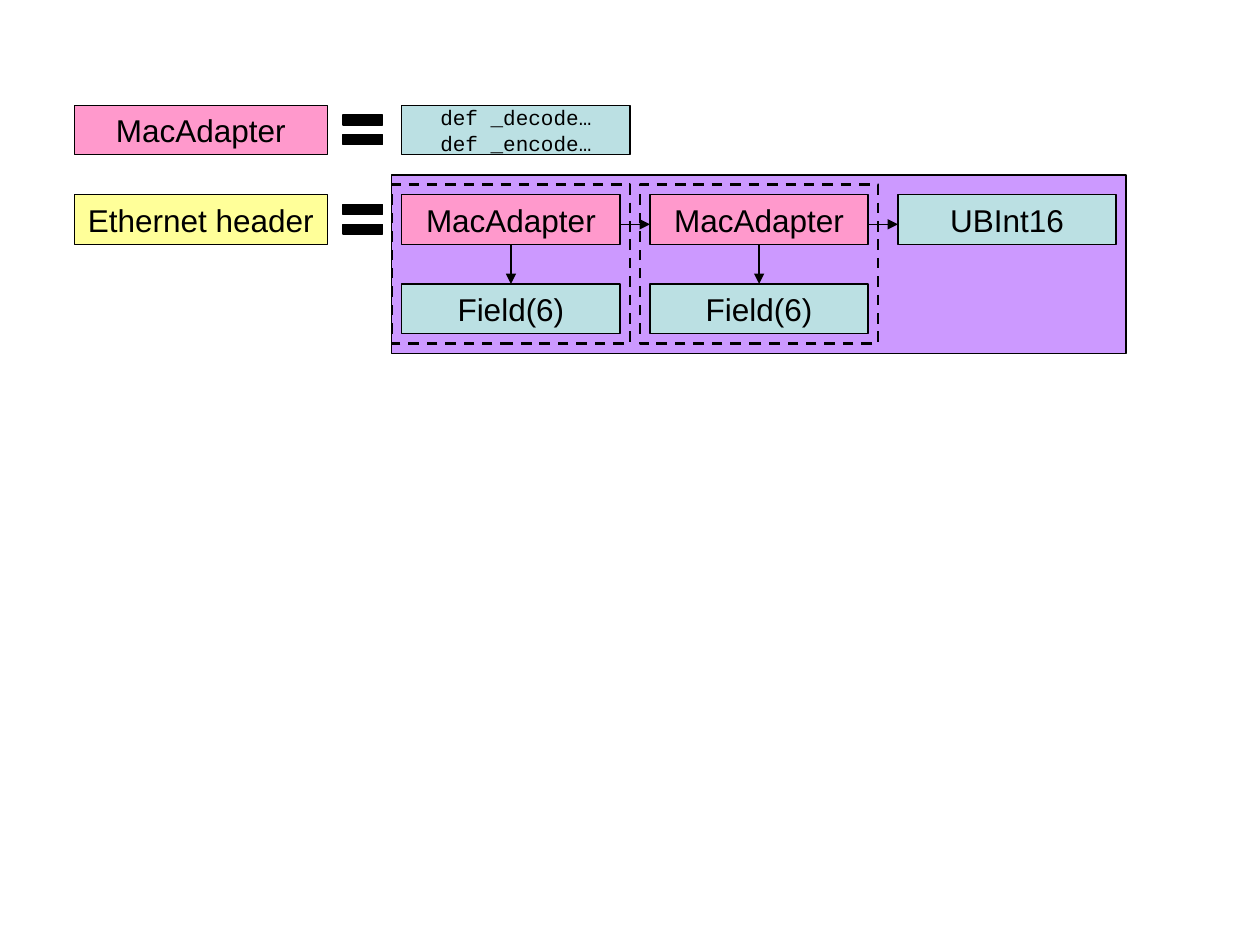
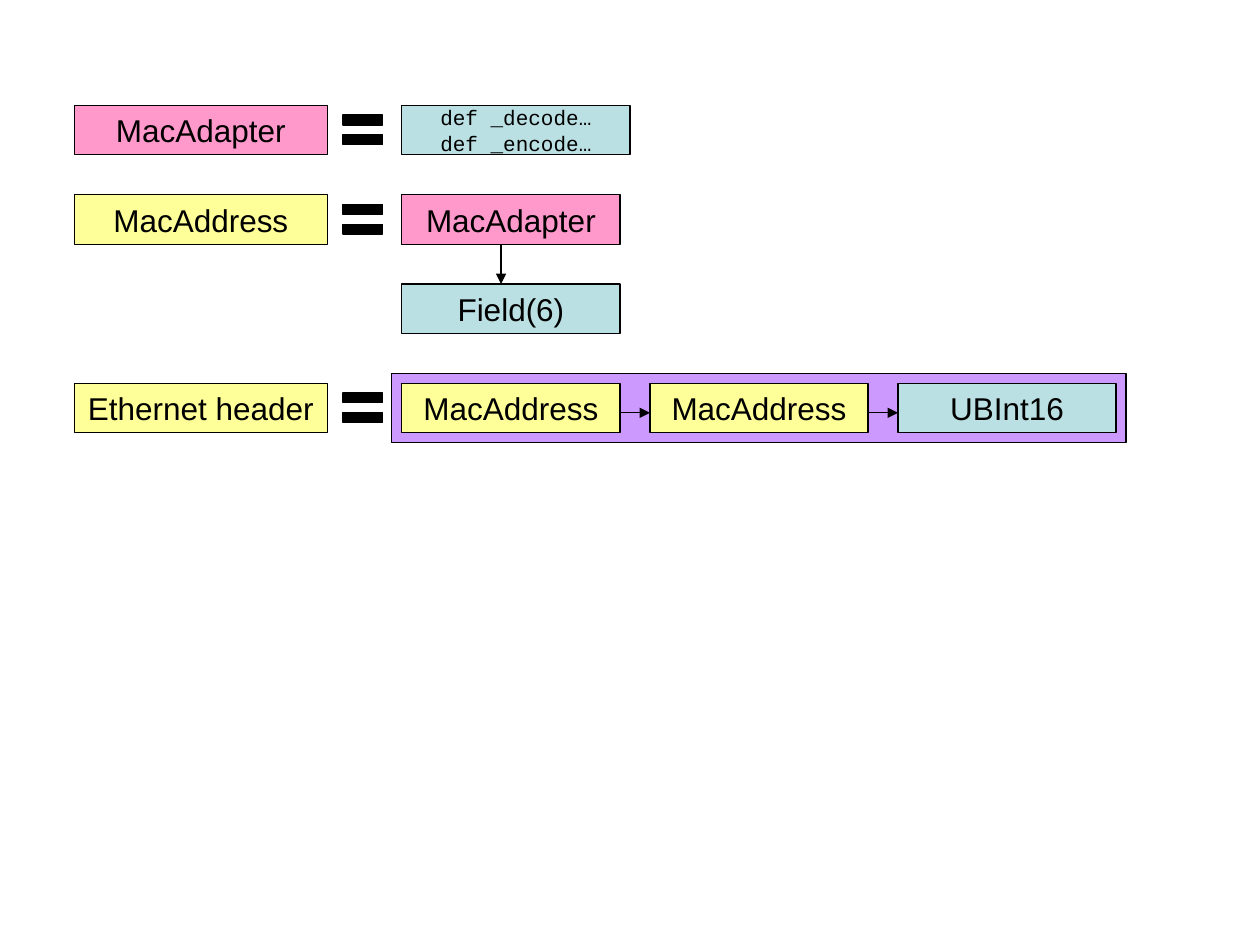
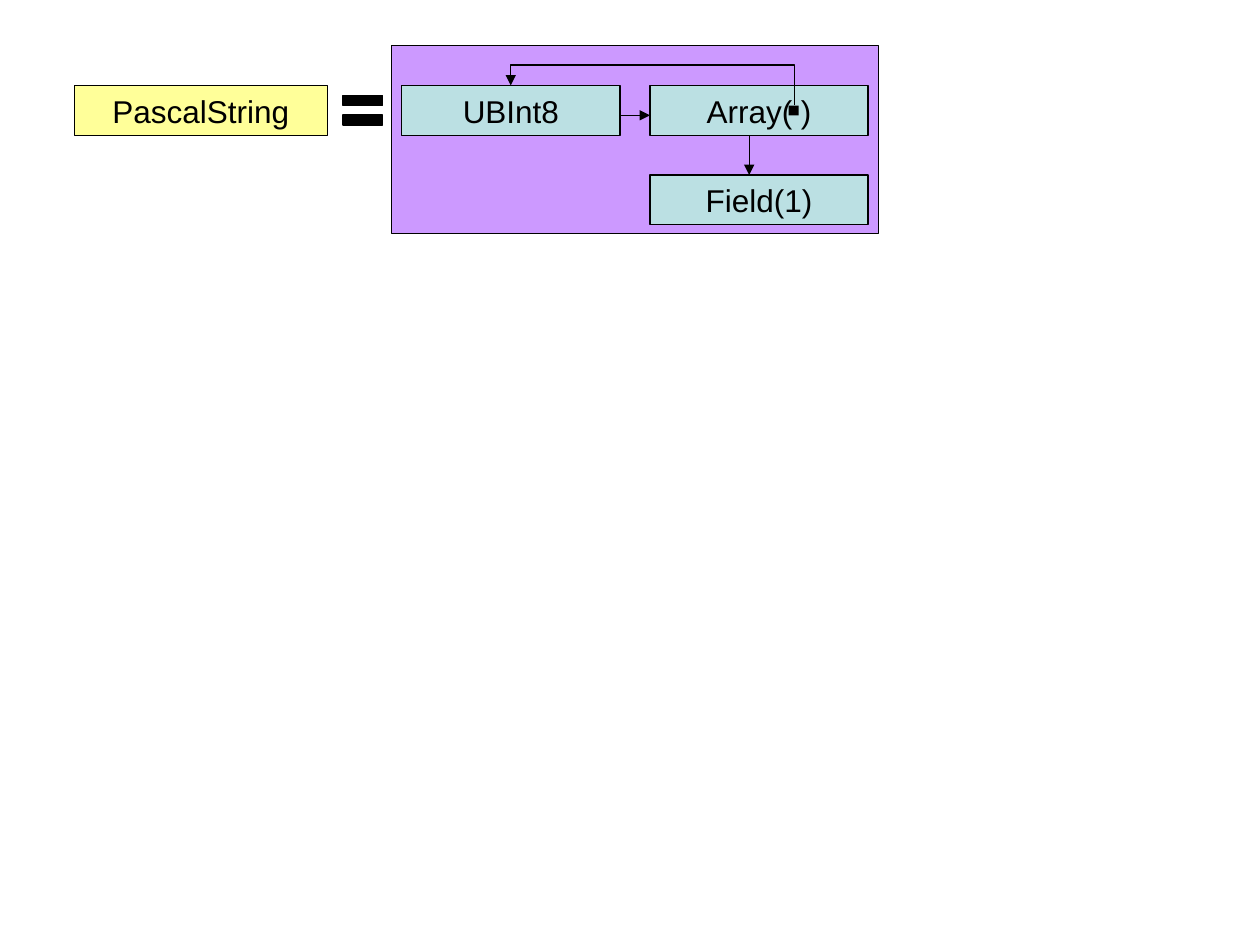
from lxml import etree
from pptx import Presentation
from pptx.dml.color import RGBColor
from pptx.enum.dml import MSO_LINE
from pptx.enum.shapes import MSO_CONNECTOR, MSO_SHAPE
from pptx.enum.text import MSO_ANCHOR, PP_ALIGN
from pptx.oxml.ns import qn
from pptx.util import Pt

RECT = MSO_SHAPE.RECTANGLE
STRAIGHT = MSO_CONNECTOR.STRAIGHT
ELBOW = MSO_CONNECTOR.ELBOW
DASH = MSO_LINE.DASH
MIDDLE = MSO_ANCHOR.MIDDLE
CENTER = PP_ALIGN.CENTER

BLACK = RGBColor(0x00, 0x00, 0x00)
TEAL = RGBColor(0xBB, 0xE0, 0xE3)
PINK = RGBColor(0xFF, 0x99, 0xCC)
YELLOW = RGBColor(0xFF, 0xFF, 0x99)
PURPLE = RGBColor(0xCC, 0x99, 0xFF)

NAME_X, NAME_W = 42.5, 144.6
BAR_X, BAR_W, BAR_H, BAR_STEP = 196, 22.7, 5.7, 11.3
COLS = [229.6, 371.4, 513.1]
BOX_W, BOX_H = 124.7, 28.3
CODE_W = 130.4
PANEL_X = 223.9
FIELD_DROP = 51
LINK_DROP = 16.9
CODE_ROW, FIRST_ROW, SECOND_ROW, STRING_ROW = 60.2, 111.3, 219, 49


def add_box(shapes, x, y, w, h, fill, text="", font="Arial", size=18):
    sp = shapes.add_shape(RECT, Pt(x), Pt(y), Pt(w), Pt(h))
    sp.shadow.inherit = False
    sp.line.color.rgb = BLACK
    sp.line.width = Pt(0.75)
    if fill is None:
        sp.fill.background()
    else:
        sp.fill.solid()
        sp.fill.fore_color.rgb = fill
    if text:
        tf = sp.text_frame
        tf.text = text
        tf.word_wrap = False
        tf.vertical_anchor = MIDDLE
        for p in tf.paragraphs:
            p.alignment = CENTER
            for r in p.runs:
                r.font.name = font
                r.font.size = Pt(size)
                r.font.color.rgb = BLACK
    return sp


def add_arrow(shapes, x1, y1, x2, y2, kind=STRAIGHT):
    c = shapes.add_connector(kind, Pt(x1), Pt(y1), Pt(x2), Pt(y2))
    c.line.color.rgb = BLACK
    c.line.width = Pt(0.75)
    props = c._element.spPr
    etree.SubElement(props.find(qn("a:ln")), qn("a:tailEnd"), type="triangle")
    etree.SubElement(props, qn("a:effectLst"))
    return c


prs = Presentation()
prs.slide_width = Pt(720)
prs.slide_height = Pt(540)
inline, named, string = [
    prs.slides.add_slide(prs.slide_layouts[6]).shapes for _ in range(3)
]

panels = [
    (inline, 100, 419.6, 102),
    (named, 213.3, 419.6, 39.7),
    (string, 26, 278, 107.5),
]
for shapes, y, w, h in panels:
    add_box(shapes, PANEL_X, y, w, h, PURPLE)

definitions = [
    (inline, CODE_ROW, "MacAdapter", PINK),
    (inline, FIRST_ROW, "Ethernet header", YELLOW),
    (named, CODE_ROW, "MacAdapter", PINK),
    (named, FIRST_ROW, "MacAddress", YELLOW),
    (named, SECOND_ROW, "Ethernet header", YELLOW),
    (string, STRING_ROW, "PascalString", YELLOW),
]
for shapes, y, name, fill in definitions:
    add_box(shapes, NAME_X, y, NAME_W, BOX_H, fill, name)
    equals = shapes.add_group_shape().shapes
    for i in range(2):
        add_box(equals, BAR_X, y + 5.5 + i * BAR_STEP, BAR_W, BAR_H, BLACK)

for shapes in (inline, named):
    add_box(shapes, COLS[0], CODE_ROW, CODE_W, BOX_H, TEAL,
            "def _decode…\ndef _encode…", "Courier New", 12)

chains = [
    (inline, FIRST_ROW,
     [("MacAdapter", PINK), ("MacAdapter", PINK), ("UBInt16", TEAL)]),
    (named, FIRST_ROW, [("MacAdapter", PINK)]),
    (named, SECOND_ROW,
     [("MacAddress", YELLOW), ("MacAddress", YELLOW), ("UBInt16", TEAL)]),
    (string, STRING_ROW, [("UBInt8", TEAL), ("Array( )", TEAL)]),
]
for shapes, y, parts in chains:
    for i, (text, fill) in enumerate(parts):
        add_box(shapes, COLS[i], y, BOX_W, BOX_H, fill, text)
        if i:
            link_y = y + LINK_DROP
            add_arrow(shapes, COLS[i - 1] + BOX_W, link_y, COLS[i], link_y)

fields = [
    (inline, COLS[0], FIRST_ROW, 62.4, "Field(6)"),
    (inline, COLS[1], FIRST_ROW, 62.4, "Field(6)"),
    (named, COLS[0], FIRST_ROW, 56.7, "Field(6)"),
    (string, COLS[1], STRING_ROW, 56.7, "Field(1)"),
]
for shapes, x, y, arrow_dx, text in fields:
    add_box(shapes, x, y + FIELD_DROP, BOX_W, BOX_H, TEAL, text)
    add_arrow(shapes, x + arrow_dx, y + BOX_H, x + arrow_dx, y + FIELD_DROP)

for x in COLS[:2]:
    outline = add_box(inline, x - 5.7, FIRST_ROW - 5.7, 136.1, 90.7, None)
    outline.line.width = Pt(1.5)
    outline.line.dash_style = DASH

count_dot = add_box(string, 450.7, 60.3, 5.7, 5.7, BLACK)
count_dot.line.fill.background()
count_link = add_arrow(string, 367.2, 135.5, 378.5, -26.5, ELBOW)
props = count_link._element.spPr
props.find(qn("a:xfrm")).set("rot", "16200000")
guides = props.find(qn("a:prstGeom")).find(qn("a:avLst"))
etree.SubElement(guides, qn("a:gd"), name="adj1", fmla="val 203700")

prs.save("out.pptx")
